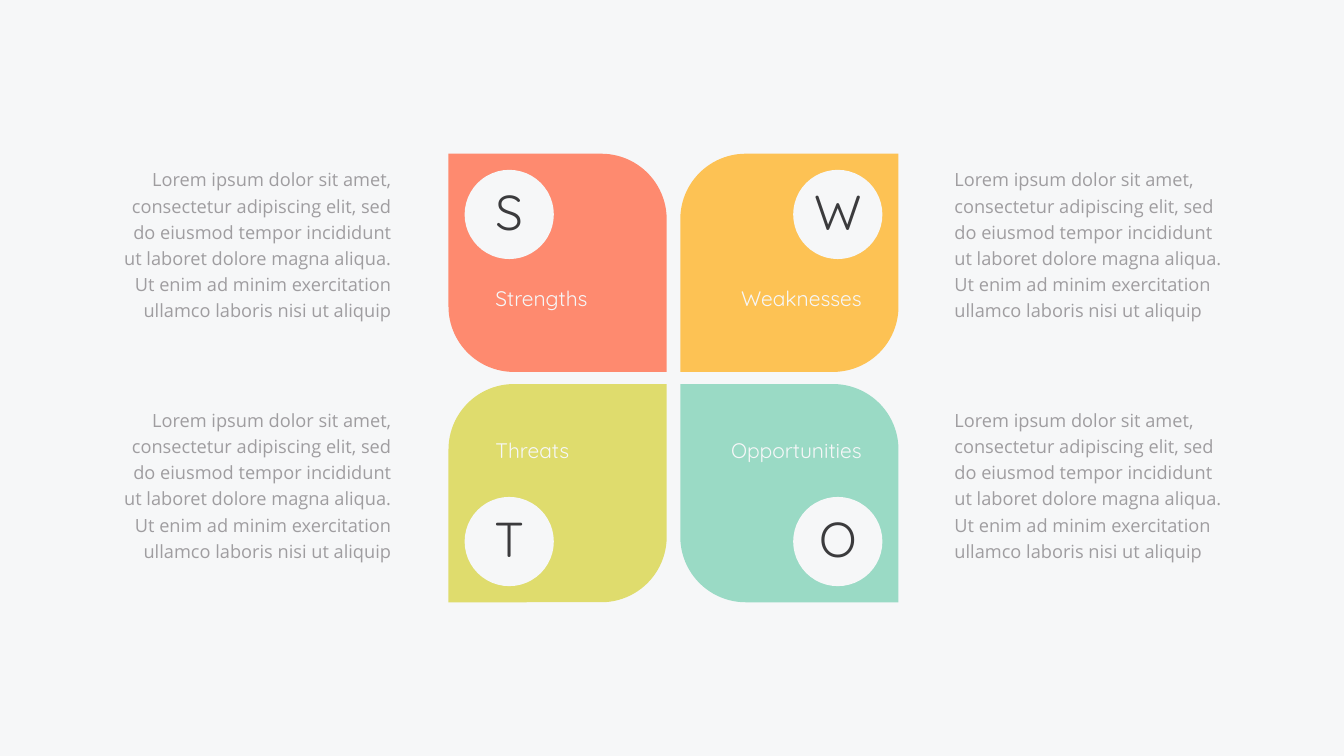
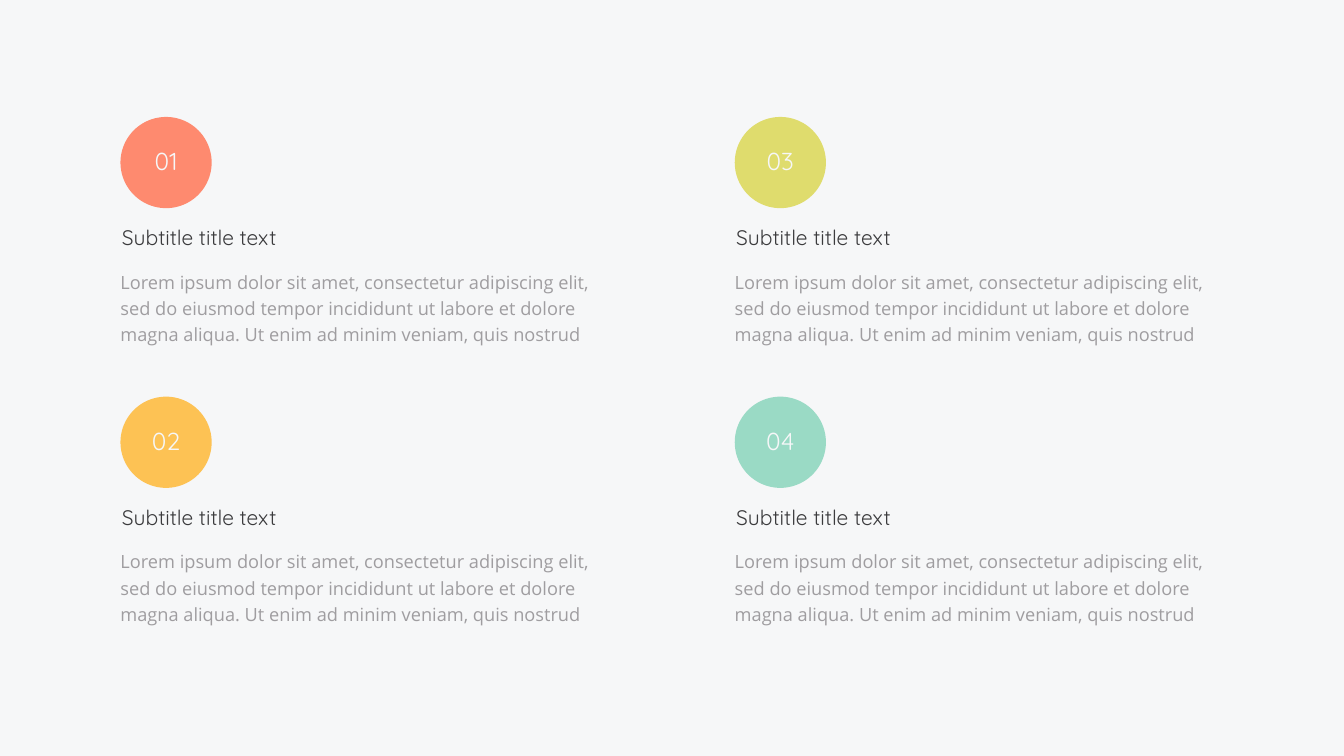
from pptx import Presentation
from pptx.dml.color import RGBColor
from pptx.enum.shapes import MSO_SHAPE
from pptx.enum.text import MSO_ANCHOR, MSO_AUTO_SIZE, PP_ALIGN
from pptx.util import Inches, Pt

PAPER, INK, GREY = "F6F7F8", "3B3B3D", "9F9DA0"
CORAL, AMBER, LIME, MINT = "FE8A6F", "FDC254", "DFDC6D", "9ADAC5"
HEADING_FONT, BODY_FONT = "Quicksand", "Open Sans"

SWOT = [
    ("S", "Strengths", CORAL, 0, 0),
    ("W", "Weaknesses", AMBER, 1, 0),
    ("T", "Threats", LIME, 0, 1),
    ("O", "Opportunities", MINT, 1, 1),
]
SWOT_BODY = (
    "Lorem ipsum dolor sit amet, consectetur adipiscing elit, sed do eiusmod "
    "tempor incididunt ut laboret dolore magna aliqua. Ut enim ad minim "
    "exercitation ullamco laboris nisi ut aliquip"
)
POINTS = [
    ("01", CORAL, 0, 0),
    ("02", AMBER, 0, 1),
    ("03", LIME, 1, 0),
    ("04", MINT, 1, 1),
]
POINT_TITLE = "Subtitle title text"
POINT_BODY = (
    "Lorem ipsum dolor sit amet, consectetur adipiscing elit, sed do eiusmod "
    "tempor incididunt ut labore et dolore magna aliqua. Ut enim ad minim "
    "veniam, quis nostrud"
)

PETAL = 4.33
PETAL_LEFT, PETAL_TOP = (8.9, 13.5), (3.05, 7.62)
PETAL_ROUNDING = 0.3
BADGE, BADGE_MARGIN = 1.77, 0.32
CAPTION_LEFT, CAPTION_TOP = (9.77, 14.14), (5.67, 8.69)
SWOT_BODY_LEFT, SWOT_BODY_TOP = (2.37, 18.88), (3.2, 7.97)

POINT_LEFT, POINT_TOP = 2.33, 2.32
COLUMN_STEP, ROW_STEP = 12.19, 5.55
DISC = 1.81


def color(hex_code):
    return RGBColor.from_string(hex_code)


def write(shape, text, size, hex_code, font=HEADING_FONT, align=PP_ALIGN.LEFT,
          anchor=MSO_ANCHOR.MIDDLE, line_spacing=0.9, space_before=0):
    frame = shape.text_frame
    frame.word_wrap = True
    frame.vertical_anchor = anchor
    frame.margin_left = frame.margin_right = Inches(0.06)
    frame.margin_top = frame.margin_bottom = Inches(0.06)
    para = frame.paragraphs[0]
    para.text = text
    para.alignment = align
    para.line_spacing = line_spacing
    para.space_before = Pt(space_before)
    para.font.name = font
    para.font.size = Pt(size)
    para.font.color.rgb = color(hex_code)


def add_text(page, left, top, width, height, text, size, hex_code, **style):
    box = page.shapes.add_textbox(
        Inches(left), Inches(top), Inches(width), Inches(height))
    write(box, text, size, hex_code, **style)
    return box


def add_body(page, left, top, width, height, text, align=PP_ALIGN.LEFT):
    box = add_text(page, left, top, width, height, text, 26, GREY,
                   font=BODY_FONT, align=align, anchor=MSO_ANCHOR.TOP,
                   line_spacing=1.2, space_before=20)
    box.text_frame.auto_size = MSO_AUTO_SIZE.SHAPE_TO_FIT_TEXT


def add_filled(page, kind, left, top, size, hex_code):
    shape = page.shapes.add_shape(
        kind, Inches(left), Inches(top), Inches(size), Inches(size))
    shape.shadow.inherit = False
    shape.fill.solid()
    shape.fill.fore_color.rgb = color(hex_code)
    shape.line.fill.background()
    return shape


def add_disc(page, left, top, size, hex_code, text, text_size, text_color):
    disc = add_filled(page, MSO_SHAPE.OVAL, left, top, size, hex_code)
    write(disc, text, text_size, text_color, align=PP_ALIGN.CENTER)


def add_petal(page, letter, caption, hex_code, column, row):
    left, top = PETAL_LEFT[column], PETAL_TOP[row]
    petal = add_filled(page, MSO_SHAPE.ROUND_2_DIAG_RECTANGLE,
                       left, top, PETAL, hex_code)
    falling = column == row
    petal.adjustments[0] = 0 if falling else PETAL_ROUNDING
    petal.adjustments[1] = PETAL_ROUNDING if falling else 0

    far_side = PETAL - BADGE - BADGE_MARGIN
    badge_offset = (BADGE_MARGIN, far_side)
    add_disc(page, left + badge_offset[column], top + badge_offset[row],
             BADGE, PAPER, letter, 70, INK)
    add_text(page, CAPTION_LEFT[column], CAPTION_TOP[row], 3.02, 0.55,
             caption, 30, PAPER,
             align=(PP_ALIGN.LEFT, PP_ALIGN.RIGHT)[column])
    add_body(page, SWOT_BODY_LEFT[column], SWOT_BODY_TOP[row], 5.46, 3.23,
             SWOT_BODY, align=(PP_ALIGN.RIGHT, PP_ALIGN.LEFT)[column])


def add_point(page, number, hex_code, column, row):
    left = POINT_LEFT + column * COLUMN_STEP
    top = POINT_TOP + row * ROW_STEP
    add_disc(page, left + 0.06, top, DISC, hex_code, number, 35, PAPER)
    add_text(page, left + 0.03, top + 2.14, 5.74, 0.57, POINT_TITLE, 30, INK)
    add_body(page, left, top + 2.91, 9.82, 1.65, POINT_BODY)


def main():
    deck = Presentation()
    deck.slide_width, deck.slide_height = Inches(26.67), Inches(15)
    background = deck.slide_master.background.fill
    background.solid()
    background.fore_color.rgb = color(PAPER)
    blank = deck.slide_layouts.get_by_name("Blank")

    for add_part, parts in ((add_petal, SWOT), (add_point, POINTS)):
        page = deck.slides.add_slide(blank)
        for part in parts:
            add_part(page, *part)
    deck.save("out.pptx")


if __name__ == "__main__":
    main()
